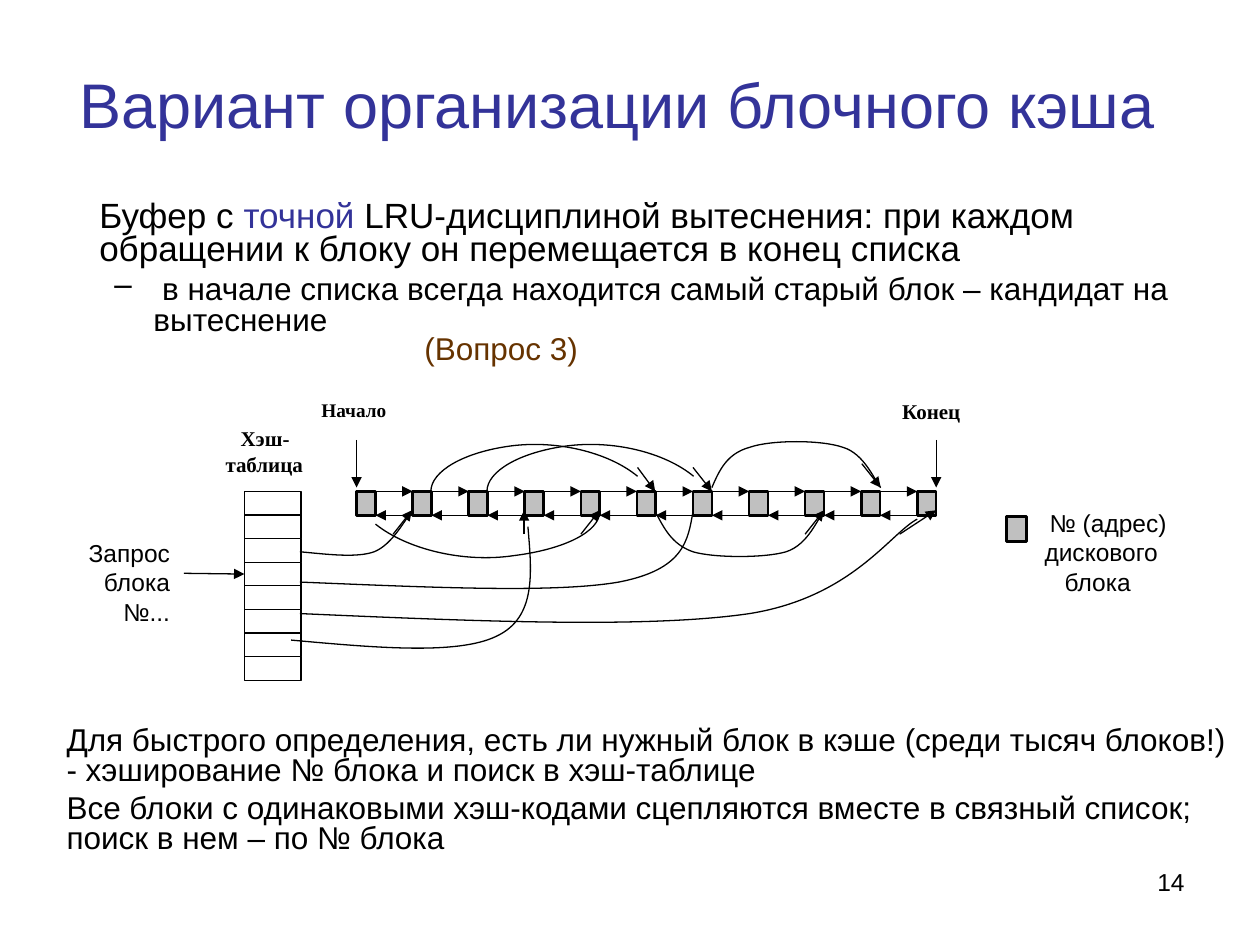
from lxml.etree import SubElement
from pptx import Presentation
from pptx.dml.color import RGBColor
from pptx.enum.shapes import MSO_CONNECTOR, MSO_SHAPE
from pptx.enum.text import MSO_ANCHOR, PP_ALIGN
from pptx.oxml.ns import qn
from pptx.util import Inches, Pt

BLACK = RGBColor(0, 0, 0)
WHITE = RGBColor(255, 255, 255)
GRAY = RGBColor(0xC0, 0xC0, 0xC0)
BLUE = RGBColor(0x33, 0x33, 0x99)
BROWN = RGBColor(0x66, 0x33, 0x00)

SANS = {"name": "Arial", "size": Pt(18), "bold": False}
NOTE = {**SANS, "size": Pt(14)}
SERIF = {"name": "Times New Roman", "size": Pt(12), "bold": True}

BLOCKS, BLOCK_X, PITCH, BLOCK_W = 11, 2.83, 0.445, 0.15
ROWS, TABLE_X, TABLE_W, ROW_H = 8, 1.94, 0.45, 0.1875
CHAIN_TOP, CHAIN_BOTTOM = 3.9, 4.09

CURVES = [
    [(2.98, 4.16), (3.23, 4.36), (3.68, 4.47), (4.08, 4.41),
     (4.48, 4.36), (4.76, 4.22), (4.76, 4.06)],
    [(4.19, 4.18), (4.22, 4.54), (4.26, 4.9), (3.94, 5.05),
     (3.63, 5.2), (2.97, 5.14), (2.31, 5.08)],
    [(2.38, 4.87), (3.75, 4.93), (5.13, 4.99), (5.95, 4.87),
     (6.76, 4.74), (7.06, 4.24), (7.28, 4.12)],
    [(5.2, 4.06), (5.27, 4.19), (5.33, 4.32), (5.5, 4.38), (5.67, 4.43),
     (6.07, 4.43), (6.24, 4.38), (6.42, 4.32), (6.49, 4.11), (6.54, 4.06)],
    [(5.65, 3.87), (5.71, 3.73), (5.77, 3.6), (5.95, 3.55), (6.12, 3.49),
     (6.52, 3.49), (6.69, 3.55), (6.86, 3.6), (6.94, 3.81), (6.99, 3.87)],
    [(2.38, 4.62), (3.38, 4.66), (4.39, 4.71), (4.91, 4.62),
     (5.43, 4.52), (5.46, 4.29), (5.5, 4.06)],
    [(2.38, 4.38), (2.6, 4.4), (2.83, 4.43), (2.97, 4.38),
     (3.12, 4.32), (3.22, 4.11), (3.27, 4.06)],
]
UPPER_ARC = [(5.06, 3.78), (4.83, 3.59), (4.42, 3.49), (4.05, 3.54),
             (3.68, 3.59), (3.42, 3.74), (3.42, 3.9)]
ARROWS = [
    ((5.06, 3.71), (5.2, 3.9)), ((5.5, 3.71), (5.65, 3.9)),
    ((4.61, 4.24), (4.76, 4.05)), ((4.16, 4.24), (4.16, 4.05)),
    ((7.14, 4.24), (7.43, 4.05)), ((7.43, 3.49), (7.43, 3.87)),
    ((2.83, 3.49), (2.83, 3.87)), ((6.39, 4.24), (6.54, 4.05)),
    ((6.84, 3.68), (6.99, 3.87)), ((3.12, 4.24), (3.27, 4.05)),
]


def set_all(obj, values):
    """Set each named attribute of an object."""
    for name, value in values.items():
        setattr(obj, name, value)


def add_box(s, x, y, w, h, color, weight):
    """Add a filled rectangle with a black outline."""
    sp = s.shapes.add_shape(MSO_SHAPE.RECTANGLE, *map(Inches, (x, y, w, h)))
    sp.shadow.inherit = False
    sp.fill.solid()
    sp.fill.fore_color.rgb = color
    sp.line.color.rgb = BLACK
    sp.line.width = Pt(weight)
    return sp


def add_arrow(s, start, end):
    """Add a thin black arrow between two points."""
    cxn = s.shapes.add_connector(MSO_CONNECTOR.STRAIGHT, *map(Inches, start + end))
    cxn.line.color.rgb = BLACK
    cxn.line.width = Pt(0.75)
    SubElement(cxn.line._get_or_add_ln(), qn("a:tailEnd"), type="triangle")
    SubElement(cxn.element.spPr, qn("a:effectLst"))
    return cxn


def add_curve(s, points):
    """Add an open Bezier curve from a start point and triples of points."""
    start, *rest = [tuple(map(Inches, point)) for point in points]
    fb = s.shapes.build_freeform(*start)
    fb.add_line_segments(rest, close=False)
    sp = fb.convert_to_shape()
    outline = sp.element.spPr.find(".//" + qn("a:path"))
    segments = outline.findall(qn("a:lnTo"))
    for i in range(0, len(segments), 3):
        curve = SubElement(outline, qn("a:cubicBezTo"))
        for segment in segments[i:i + 3]:
            curve.append(segment[0])
            outline.remove(segment)
    sp.shadow.inherit = False
    sp.fill.background()
    sp.line.color.rgb = BLACK
    sp.line.width = Pt(0.75)


def add_paragraph(p, runs, font, margin=0, indent=0, bullet=None, **layout):
    """Fill a paragraph with (text, colour) runs."""
    pPr = p._p.get_or_add_pPr()
    pPr.set("marL", str(Inches(margin)))
    pPr.set("indent", str(Inches(indent)))
    set_all(p, layout)
    if bullet:
        SubElement(pPr, qn("a:buChar"), char=bullet)
    for text, color in runs:
        r = p.add_run()
        r.text = text
        set_all(r.font, font)
        r.font.color.rgb = color


def add_text(s, x, y, w, h, paragraphs, inset=(0.1, 0.05), fill=None, wrap=True):
    """Add a text box from a list of paragraph settings."""
    sp = s.shapes.add_textbox(*map(Inches, (x, y, w, h)))
    if fill is not None:
        sp.fill.solid()
        sp.fill.fore_color.rgb = fill
    tf = sp.text_frame
    dx, dy = map(Inches, inset)
    set_all(tf, {"word_wrap": wrap, "margin_left": dx, "margin_right": dx,
                 "margin_top": dy, "margin_bottom": dy})
    for i, settings in enumerate(paragraphs):
        p = tf.add_paragraph() if i else tf.paragraphs[0]
        add_paragraph(p, **settings)


def add_label(s, x, y, w, h, lines, font, **layout):
    """Add a white diagram label from (text, indent) lines."""
    paragraphs = [{"runs": [(text, BLACK)], "font": font, "indent": indent, **layout}
                  for text, indent in lines]
    add_text(s, x, y, w, h, paragraphs, inset=(0.02, 0.04), fill=WHITE)


def add_title(s, text):
    """Place and format the title."""
    title = s.shapes.title
    set_all(title, {"left": 0, "top": Inches(0.36),
                    "width": Inches(9.8), "height": Inches(1.5)})
    tf = title.text_frame
    set_all(tf, {"vertical_anchor": MSO_ANCHOR.MIDDLE, "word_wrap": True,
                 "margin_bottom": Inches(0.63)})
    add_paragraph(tf.paragraphs[0], [(text, BLUE)], {**SANS, "size": Pt(36)},
                  alignment=PP_ALIGN.CENTER)


def add_diagram(s):
    """Draw the hash table, the block list and the links."""
    rows = [add_box(s, TABLE_X, CHAIN_TOP + i * ROW_H, TABLE_W, ROW_H, WHITE, 0.75)
            for i in range(ROWS)]
    for i in range(BLOCKS):
        x = BLOCK_X + i * PITCH
        add_box(s, x, CHAIN_TOP, BLOCK_W, CHAIN_BOTTOM - CHAIN_TOP, GRAY, 1.5)
        if i < BLOCKS - 1:
            left, right = x + BLOCK_W, x + PITCH
            add_arrow(s, (left, CHAIN_TOP), (right, CHAIN_TOP))
            add_arrow(s, (right, CHAIN_BOTTOM), (left, CHAIN_BOTTOM))
    shifted_arc = [(x + PITCH, y) for x, y in UPPER_ARC]
    for points in [UPPER_ARC, shifted_arc, *CURVES]:
        add_curve(s, points)
    for start, end in ARROWS:
        add_arrow(s, start, end)
    request = add_arrow(s, (1.46, 4.55), (TABLE_X, 4.55))
    request.end_connect(rows[3], 1)
    add_box(s, 7.99, 4.1, 0.16, 0.2, GRAY, 1.5)


def main():
    """Build the slide."""
    prs = Presentation()
    prs.slide_width, prs.slide_height = Inches(10), Inches(7.5)
    s = prs.slides.add_slide(prs.slide_layouts[5])
    add_title(s, "Вариант организации блочного кэша")
    add_text(s, 0.31, 1.55, 9.8, 1.34, [
        {"runs": [("Буфер с ", BLACK), ("точной ", BLUE),
                  ("LRU-дисциплиной вытеснения: при каждом обращении к блоку "
                   "он перемещается в конец списка", BLACK)],
         "font": {**SANS, "size": Pt(20)}, "margin": 0.38, "line_spacing": 0.8},
        {"runs": [(" в начале списка всегда находится самый старый блок – "
                   "кандидат на вытеснение", BLACK)],
         "font": SANS, "margin": 0.81, "indent": -0.31, "bullet": "–",
         "line_spacing": 0.8, "space_before": Pt(4.5)}])
    add_diagram(s)
    add_label(s, 2.53, 3.12, 0.59, 0.37, [("Начало", 0)], {**SERIF, "size": Pt(11)})
    add_label(s, 7.14, 3.12, 0.59, 0.37, [("Конец", 0)], SERIF)
    add_label(s, 1.77, 3.34, 0.8, 0.49, [("Хэш-", 0.12), ("таблица", 0)], SERIF)
    add_label(s, 8.27, 3.99, 1.46, 0.78,
              [("№ (адрес) дискового", 0.04), ("блока", 0.16)], NOTE)
    add_label(s, 0.43, 4.23, 0.94, 0.78, [("Запрос блока №...", 0)], NOTE,
              alignment=PP_ALIGN.RIGHT)
    add_text(s, 0.43, 5.72, 9.53, 1.13, [
        {"runs": [("Для быстрого определения, есть ли нужный блок в кэше (среди тысяч "
                   "блоков!) - хэширование № блока и поиск в хэш-таблице", BLACK)],
         "font": SANS, "line_spacing": 0.8},
        {"runs": [("Все блоки с одинаковыми хэш-кодами сцепляются вместе в связный "
                   "список; поиск в нем – по № блока", BLACK)],
         "font": SANS, "line_spacing": 0.8, "space_before": Pt(4.5)}])
    add_text(s, 3.27, 2.56, 1.42, 0.4,
             [{"runs": [("(Вопрос 3)", BROWN)], "font": SANS}], wrap=False)
    add_text(s, 7.17, 6.83, 2.33, 0.52,
             [{"runs": [("14", BLACK)], "font": NOTE, "alignment": PP_ALIGN.RIGHT}])
    prs.save("out.pptx")


if __name__ == "__main__":
    main()
